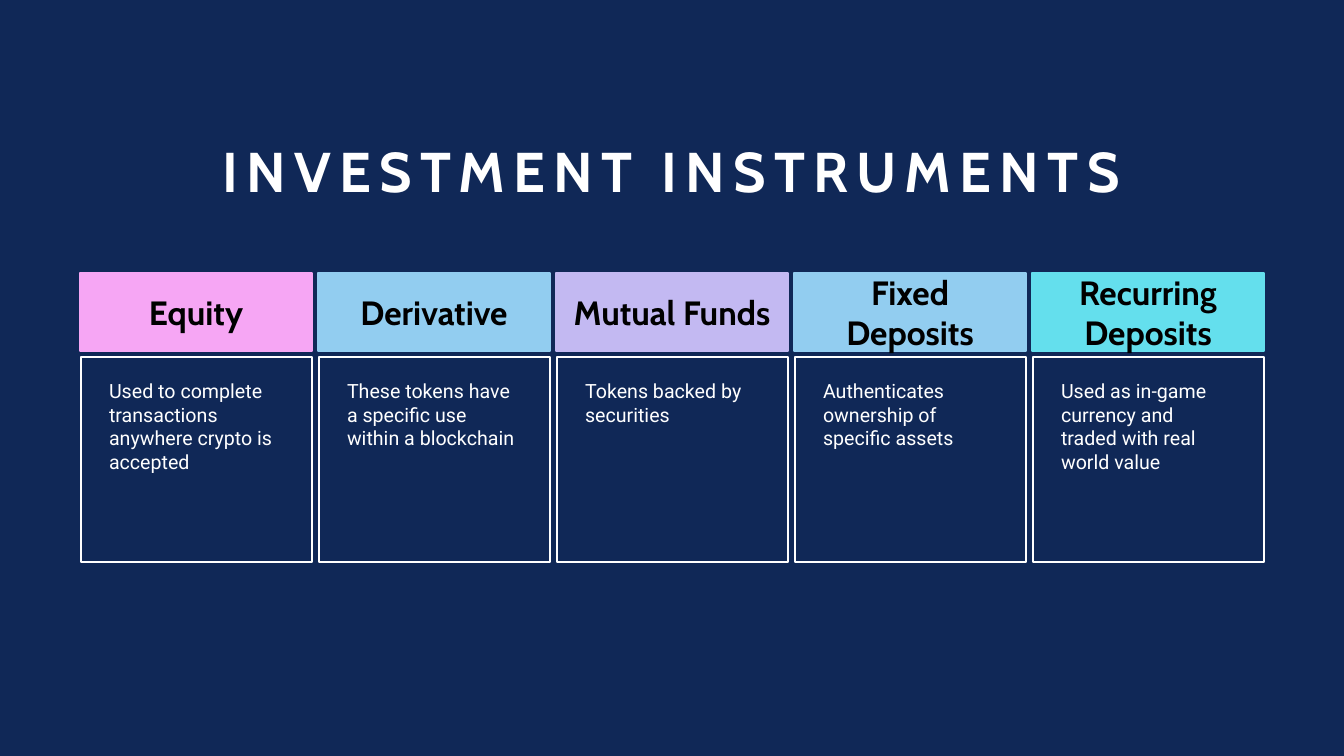
import pptx
import pptx.util
import pptx.dml.color
import pptx.enum.shapes
import pptx.enum.text

RGBColor = pptx.dml.color.RGBColor
PP_ALIGN = pptx.enum.text.PP_ALIGN
MSO_ANCHOR = pptx.enum.text.MSO_ANCHOR

NAVY = RGBColor(0x10, 0x28, 0x57)
WHITE = RGBColor(0xFF, 0xFF, 0xFF)
BLACK = RGBColor(0x00, 0x00, 0x00)
PINK = RGBColor(0xF6, 0xA6, 0xF4)
SKY = RGBColor(0x92, 0xCD, 0xF0)
LILAC = RGBColor(0xC3, 0xB9, 0xF2)
AQUA = RGBColor(0x64, 0xDF, 0xED)

EMU_PER_PX = 914400 / 100.8
FIRST_LEFT = 80
COLUMN_STEP = 238

INSTRUMENTS = [
    ("Equity", PINK, "Used to complete transactions anywhere crypto is accepted"),
    ("Derivative", SKY, "These tokens have a specific use within a blockchain"),
    ("Mutual Funds", LILAC, "Tokens backed by securities"),
    ("Fixed Deposits", SKY, "Authenticates ownership of specific assets"),
    ("Recurring Deposits", AQUA, "Used as in-game currency and traded with real world value"),
]


def px(length):
    return pptx.util.Emu(round(length * EMU_PER_PX))


def write(frame, text, font_name, size, color, bold, align, anchor):
    frame.text = text
    frame.word_wrap = True
    frame.auto_size = pptx.enum.text.MSO_AUTO_SIZE.NONE
    frame.vertical_anchor = anchor
    paragraph = frame.paragraphs[0]
    paragraph.alignment = align
    font = paragraph.runs[0].font
    font.name = font_name
    font.size = pptx.util.Pt(size)
    font.bold = bold
    font.color.rgb = color
    return paragraph


def set_insets(frame, left, top, right, bottom):
    frame.margin_left, frame.margin_top = px(left), px(top)
    frame.margin_right, frame.margin_bottom = px(right), px(bottom)


def add_box(slide, left, top, width, height, line_color):
    box = slide.shapes.add_shape(
        pptx.enum.shapes.MSO_SHAPE.RECTANGLE,
        px(left), px(top), px(width), px(height))
    box.shadow.inherit = False
    box.line.color.rgb = line_color
    box.line.width = pptx.util.Pt(1)
    return box


def add_heading(slide, left, name, color):
    heading = add_box(slide, left, 273, 232, 78, color)
    heading.fill.solid()
    heading.fill.fore_color.rgb = color
    set_insets(heading.text_frame, 10, 5, 10, 5)
    write(heading.text_frame, name, "Cabin", 24, BLACK, True,
          PP_ALIGN.CENTER, MSO_ANCHOR.MIDDLE)


def add_description(slide, left, text):
    description = add_box(slide, left, 357, 231, 205, WHITE)
    description.fill.background()
    set_insets(description.text_frame, 28, 22, 30, 5)
    write(description.text_frame, text, "Roboto", 14, WHITE, False,
          PP_ALIGN.LEFT, MSO_ANCHOR.TOP)


def place_title(slide, text):
    title = slide.shapes.title
    title.left, title.top, title.width, title.height = px(182), px(92), px(979), px(118)
    paragraph = write(title.text_frame, text, "Cabin", 40, WHITE, True,
                      PP_ALIGN.CENTER, MSO_ANCHOR.BOTTOM)
    paragraph.line_spacing = 0.9
    paragraph.runs[0].font._element.set("spc", "600")


def main():
    presentation = pptx.Presentation()
    presentation.slide_width, presentation.slide_height = px(1344), px(756)
    slide = presentation.slides.add_slide(presentation.slide_layouts.get_by_name("Title Only"))
    slide.background.fill.solid()
    slide.background.fill.fore_color.rgb = NAVY

    place_title(slide, "INVESTMENT INSTRUMENTS")
    for column, (name, color, text) in enumerate(INSTRUMENTS):
        left = FIRST_LEFT + column * COLUMN_STEP
        add_heading(slide, left, name, color)
        add_description(slide, left + 1, text)

    presentation.save("out.pptx")


if __name__ == "__main__":
    main()
